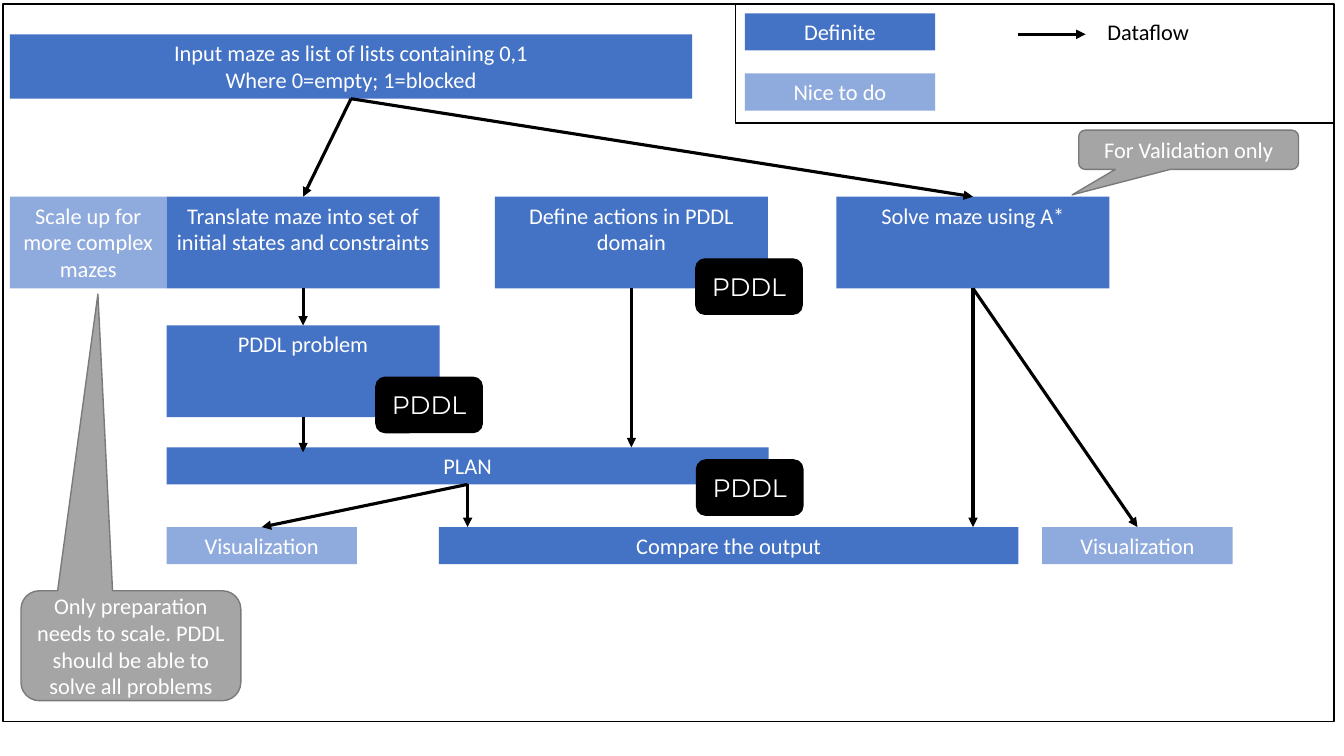
from pptx import Presentation
from pptx.dml.color import RGBColor
from pptx.enum import shapes, text
from pptx.oxml.ns import qn
from pptx.util import Pt
from lxml import etree

BLUE = RGBColor(0x44, 0x72, 0xC4)
LIGHT = RGBColor(0x8F, 0xAA, 0xDC)
GREY = RGBColor(0xA5, 0xA5, 0xA5)
DARK_GREY = RGBColor(0x7A, 0x7A, 0x7A)
BLACK = RGBColor(0, 0, 0)
WHITE = RGBColor(255, 255, 255)

# Layout measures shared by the boxes
LEFT, COL1, COL2, COL3 = 7, 119, 353.5, 597.5
STEP_Y, OUTPUT_Y = 140.5, 376.5
STEP_W, STEP_H = 195, 65.5
SMALL_W, BAR_H = 136, 26.5
LEGEND_X, LEGEND_Y = 532, 9.5
BADGE_W, BADGE_H = 76, 39.5
CALLOUT_W = 157

# name: (text, fill, left, top, width, height)
BOXES = {
    "input": ("Input maze as list of lists containing 0,1\nWhere 0=empty; 1=blocked",
              BLUE, LEFT, 24.5, 487.5, 46),
    "definite": ("Definite", BLUE, LEGEND_X, LEGEND_Y, SMALL_W, BAR_H),
    "nice": ("Nice to do", LIGHT, LEGEND_X, 52.5, SMALL_W, BAR_H),
    "scale": ("Scale up for more complex mazes",
              LIGHT, LEFT, STEP_Y, COL1 - LEFT, STEP_H),
    "translate": ("Translate maze into set of initial states and constraints",
                  BLUE, COL1, STEP_Y, STEP_W, STEP_H),
    "define": ("Define actions in PDDL domain", BLUE, COL2, STEP_Y, STEP_W, STEP_H),
    "solve": ("Solve maze using A*", BLUE, COL3, STEP_Y, STEP_W, STEP_H),
    "problem": ("PDDL problem", BLUE, COL1, 232.5, STEP_W, STEP_H),
    "plan": ("PLAN", BLUE, COL1, 319.5, 430, BAR_H),
    "plan view": ("Visualization", LIGHT, COL1, OUTPUT_Y, SMALL_W, BAR_H),
    "compare": ("Compare the output", BLUE, 313.5, OUTPUT_Y, 414, BAR_H),
    "solve view": ("Visualization", LIGHT, 744.5, OUTPUT_Y, SMALL_W, BAR_H),
}
# (from box, to box, True where the arrow meets the middle of the top side,
#  depth of the tip below the top side)
FLOWS = [
    ("input", "translate", True, 0),
    ("input", "solve", True, 0),
    ("translate", "problem", True, 0),
    ("problem", "plan", False, 3.5),
    ("define", "plan", False, 0),
    ("plan", "plan view", True, 0),
    ("plan", "compare", False, 0),
    ("solve", "compare", False, 0),
    ("solve", "solve view", True, 0),
]
FRAMES = [(2, 3, 951, 512.5), (525.5, 3, 427, 85)]
BADGES = [(268.5, 269.5), (497.5, 328.5), (497, 185)]
# (text, top left, height, pointer adjustments)
CALLOUTS = [
    ("Only preparation needs to scale. PDDL should be able to solve all problems",
     (15, 422), 78.5, (-0.15, -3.2)),
    ("For Validation only", (770.5, 93), 28, (-0.53, 1.15)),
]

prs = Presentation()
prs.slide_width, prs.slide_height = Pt(960), Pt(540)
s = prs.slides.add_slide(prs.slide_layouts[6])


def write(sp, words, color=WHITE, size=16, font="Calibri",
          align=text.PP_ALIGN.CENTER, anchor=text.MSO_ANCHOR.TOP):
    tf = sp.text_frame
    tf.word_wrap = True
    tf.vertical_anchor = anchor
    tf.text = words
    for p in tf.paragraphs:
        p.alignment = align
        p.font.size, p.font.name = Pt(size), font
        p.font.color.rgb = color


def add_shape(kind, box, fill=None, line=None):
    sp = s.shapes.add_shape(kind, *map(Pt, box))
    sp.shadow.inherit = False
    if fill is None:
        sp.fill.background()
    else:
        sp.fill.solid()
        sp.fill.fore_color.rgb = fill
    if line is None:
        sp.line.fill.background()
    else:
        sp.line.color.rgb = line
        sp.line.width = Pt(1)
    return sp


def add_arrow(x1, y1, x2, y2):
    c = s.shapes.add_connector(shapes.MSO_CONNECTOR.STRAIGHT, x1, y1, x2, y2)
    c.line.color.rgb = BLACK
    c.line.width = Pt(2.25)
    etree.SubElement(c.line._get_or_add_ln(), qn("a:tailEnd"), type="triangle")
    etree.SubElement(c._element.spPr, qn("a:effectLst"))
    return c


# Frames and boxes
for frame in FRAMES:
    add_shape(shapes.MSO_SHAPE.RECTANGLE, frame, line=BLACK)
nodes = {}
for name, (words, fill, *box) in BOXES.items():
    nodes[name] = add_shape(shapes.MSO_SHAPE.RECTANGLE, box, fill)
    write(nodes[name], words)

# Legend entry for the arrows
add_arrow(Pt(727), Pt(24.5), Pt(775.5), Pt(24.5))
label = s.shapes.add_textbox(Pt(784), Pt(LEGEND_Y), Pt(91), Pt(BAR_H))
write(label, "Dataflow", BLACK, align=text.PP_ALIGN.LEFT)

# Flow arrows: straight down unless they aim at the middle of the next box
for source, target, to_middle, depth in FLOWS:
    a, b = nodes[source], nodes[target]
    x = a.left + a.width // 2
    x_end = b.left + b.width // 2 if to_middle else x
    c = add_arrow(x, a.top + a.height, x_end, b.top + Pt(depth))
    c.begin_connect(a, 2)
    if to_middle:
        c.end_connect(b, 0)

# PDDL badges
for corner in BADGES:
    sp = add_shape(shapes.MSO_SHAPE.ROUNDED_RECTANGLE, (*corner, BADGE_W, BADGE_H),
                   BLACK, BLACK)
    write(sp, "PDDL", size=18, font="Montserrat", anchor=text.MSO_ANCHOR.MIDDLE)

# Callouts
for words, corner, height, pointer in CALLOUTS:
    sp = add_shape(shapes.MSO_SHAPE.ROUNDED_RECTANGULAR_CALLOUT,
                   (*corner, CALLOUT_W, height), GREY, DARK_GREY)
    sp.adjustments[0], sp.adjustments[1] = pointer
    write(sp, words, anchor=text.MSO_ANCHOR.MIDDLE)

prs.save("out.pptx")
